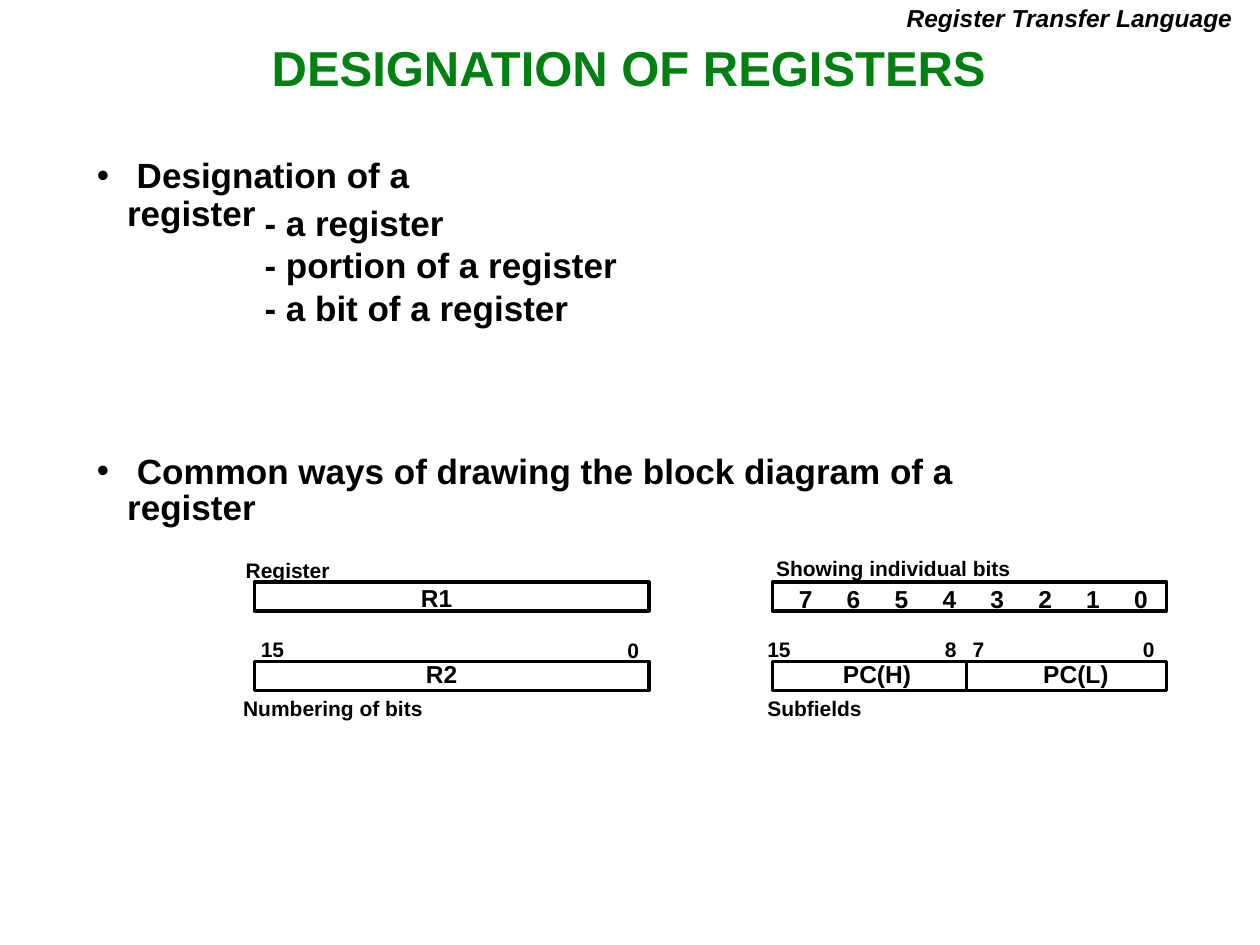
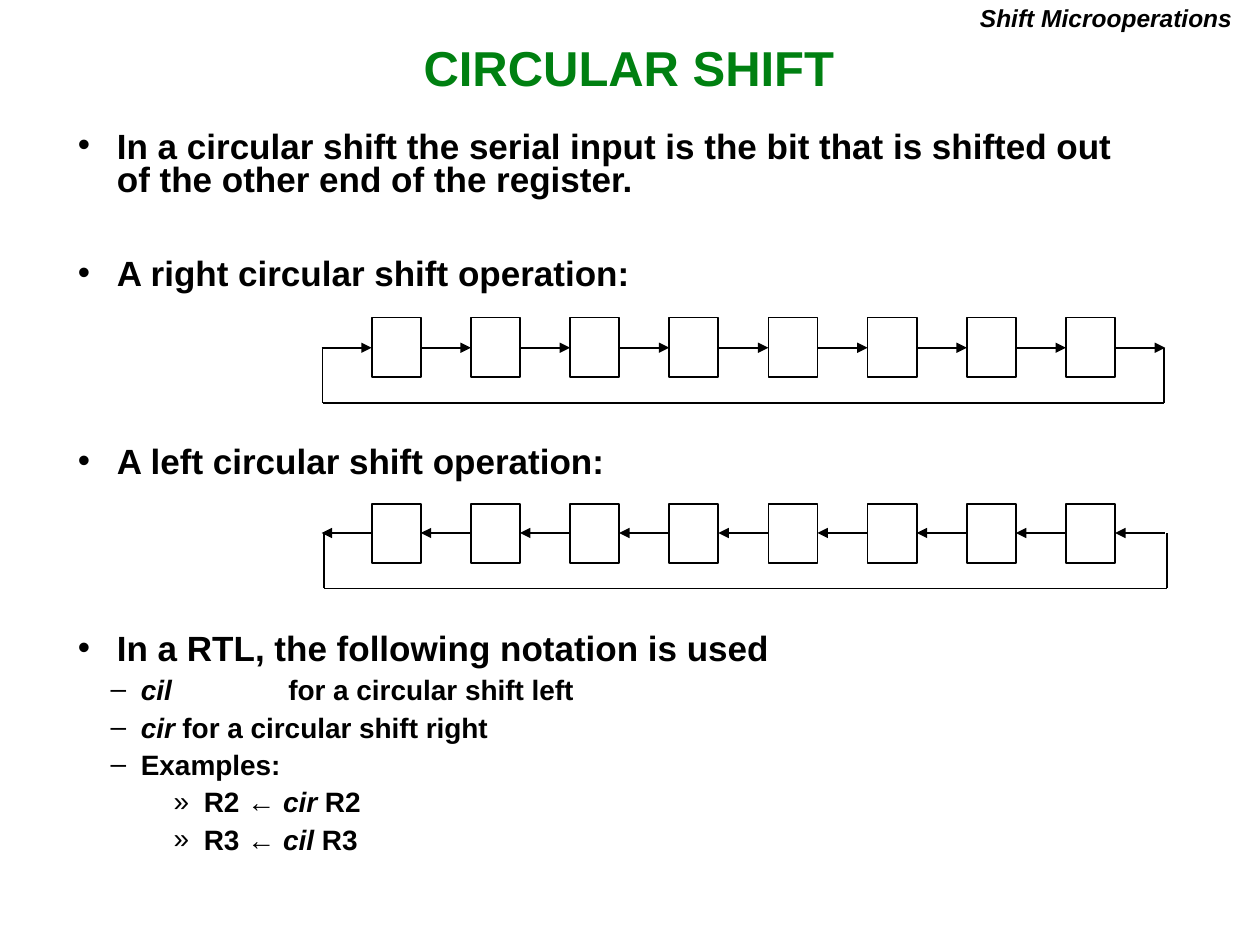
import pptx
import pptx.dml.color
import pptx.enum.shapes
import pptx.enum.text
import pptx.oxml.ns
import pptx.util
from lxml import etree

Inches = pptx.util.Inches
Pt = pptx.util.Pt
Align = pptx.enum.text.PP_ALIGN
color = pptx.dml.color.RGBColor.from_string
qn = pptx.oxml.ns.qn

BLACK = "000000"
GREEN = "008011"
SMALL_INSET = (0.07, 0.03)
WIDE_INSET = (0.1, 0.05)


def add_text(page, place, paragraphs, size, spacing, inset=SMALL_INSET,
             align=Align.LEFT, ink=BLACK, italic=False):
    """Add bold text; a paragraph is a string or a dict with spans and layout.

    Spans alternate between upright and italic when there are several.
    """
    box = page.shapes.add_textbox(*map(Inches, place))
    frame = box.text_frame
    frame_format = {
        "word_wrap": True,
        "margin_left": Inches(inset[0]), "margin_right": Inches(inset[0]),
        "margin_top": Inches(inset[1]), "margin_bottom": Inches(inset[1]),
    }
    for name, value in frame_format.items():
        setattr(frame, name, value)
    for index, entry in enumerate(paragraphs):
        if isinstance(entry, str):
            entry = {"spans": [entry]}
        para = frame.paragraphs[0] if index == 0 else frame.add_paragraph()
        para.alignment = align
        para.line_spacing = spacing
        if "before" in entry:
            para.space_before = Pt(entry["before"])
        props = para._p.get_or_add_pPr()
        if "bullet" in entry:
            margin, hanging = entry["indent"]
            props.set("marL", str(Inches(margin)))
            props.set("indent", str(-Inches(hanging)))
            bullet_color = etree.SubElement(props, qn("a:buClr"))
            etree.SubElement(bullet_color, qn("a:srgbClr"), val=BLACK)
            etree.SubElement(props, qn("a:buFont"), typeface="Arial")
            etree.SubElement(props, qn("a:buChar"), char=entry["bullet"])
        if "tabs" in entry:
            tab_list = etree.SubElement(props, qn("a:tabLst"))
            for stop in entry["tabs"]:
                etree.SubElement(tab_list, qn("a:tab"), pos=str(Inches(stop)), algn="l")
        for number, words in enumerate(entry["spans"]):
            if not words:
                continue
            span = para.add_run()
            span.text = words
            font_format = {
                "name": "Arial", "size": Pt(entry.get("size", size)),
                "bold": True, "italic": italic or number % 2 == 1,
            }
            for name, value in font_format.items():
                setattr(span.font, name, value)
            span.font.color.rgb = color(ink)


deck = pptx.Presentation()
deck.slide_width = Inches(10)
deck.slide_height = Inches(7.5)

# Title and chapter name, alike on both slides
pages = []
for title, chapter in [
    ("DESIGNATION OF REGISTERS", "Register Transfer Language"),
    ("CIRCULAR SHIFT", "Shift Microoperations"),
]:
    page = deck.slides.add_slide(deck.slide_layouts[6])
    add_text(page, (0.18, 0.32, 9.62, 0.48), [title], 28, 0.9,
             align=Align.CENTER, ink=GREEN)
    add_text(page, (6.88, 0, 3, 0.31), [chapter], 14, 0.9, WIDE_INSET,
             Align.RIGHT, italic=True)
    pages.append(page)
registers_page, shift_page = pages

# Designation of registers: bullets
bullet = {"bullet": "•", "indent": (0.24, 0.24)}
add_text(registers_page, (0.67, 1.21, 3.64, 0.7),
         [{"spans": [" Designation of a register"], **bullet}], 20, 0.9, WIDE_INSET)
add_text(registers_page, (2.03, 1.56, 3.2, 1.1),
         ["- a register", "- portion of a register", "- a bit of a register"], 20, 1.02)
add_text(registers_page, (0.7, 3.59, 7.86, 0.65),
         [{"spans": [" Common ways of drawing the block diagram of a register"], **bullet}],
         20, 0.85)

# Labels around and inside the registers
for words, left, top, width in [
    ("Register", 1.88, 4.41, 0.95),
    ("Showing individual bits", 6.09, 4.39, 2.1),
    ("Numbering of bits", 1.86, 5.5, 1.67),
    ("Subfields", 6.02, 5.5, 1),
    ("15", 2, 5.03, 0.4),
    ("0", 4.91, 5.04, 0.3),
    ("15", 6.02, 5.03, 0.4),
    ("8", 7.43, 5.03, 0.3),
    ("7", 7.65, 5.03, 0.3),
    ("0", 9, 5.03, 0.3),
]:
    add_text(registers_page, (left, top, width, 0.25), [words], 12, 0.97)
for words, left, top in [
    ("R1", 3.27, 4.62), ("R2", 3.31, 5.23), ("PC(H)", 6.62, 5.23), ("PC(L)", 8.21, 5.23),
]:
    add_text(registers_page, (left, top, 0.8, 0.27), [words], 14, 0.9)
bits = {"spans": ["\t".join("76543210")], "tabs": [0.38 * n for n in range(1, 8)]}
add_text(registers_page, (6.27, 4.63, 2.95, 0.27), [bits], 14, 0.9)

# Circular shift: body text
level_1 = {"bullet": "•", "indent": (0.31, 0.31)}
level_2 = {"bullet": "–", "indent": (0.5, 0.24), "size": 16, "before": 6}
level_3 = {"bullet": "»", "indent": (1, 0.24), "size": 16, "before": 6}
add_text(shift_page, (0.52, 1, 8.74, 6.19), [
    {"spans": ["In a circular shift the serial input is the bit that is shifted out "
               "of the other end of the register."], **level_1},
    {"spans": ["A right circular shift operation:"], "before": 34.5, **level_1},
    {"spans": ["A left circular shift operation:"], "before": 88, **level_1},
    {"spans": ["In a RTL, the following notation is used"], "before": 88, **level_1},
    {"spans": ["", "cil\t", "for a circular shift left"], "tabs": [1.67], **level_2},
    {"spans": ["", "cir\t", "for a circular shift right"], "tabs": [0.83], **level_2},
    {"spans": ["Examples:"], **level_2},
    {"spans": ["R2 ← ", "cir", " R2"], **level_3},
    {"spans": ["R3 ← ", "cil", " R3"], **level_3},
], 20, 0.8, WIDE_INSET)

# Each figure: shapes, line width, rectangles, lines (start, end, has arrowhead)
registers = [(left, top, 3.13, 0.23) for left in (2.02, 6.13) for top in (4.62, 5.25)]
figures = [(registers_page.shapes, 2, registers, [((7.67, 5.26), (7.67, 5.49), False)])]

CELLS = 8
CELL_WIDTH = 0.39
FIRST_CELL, LAST_CELL = 2.95, 8.46
pitch = (LAST_CELL - FIRST_CELL) / (CELLS - 1)
gap = pitch - CELL_WIDTH
for top, middle, bottom, left, right, shifts_right in [
    (2.52, 2.76, 3.2, 2.56, 9.24, True),
    (4, 4.23, 4.67, 2.57, 9.26, False),
]:
    cells = [(FIRST_CELL + pitch * n, top, CELL_WIDTH, 0.47) for n in range(CELLS)]
    lines = []
    for n in range(CELLS + 1):
        end = FIRST_CELL + pitch * n
        ends = [(end - gap, middle), (end, middle)]
        lines.append((*(ends if shifts_right else ends[::-1]), True))
    corners = [(left, middle), (left, bottom), (right, bottom), (right, middle)]
    lines += [(start, end, False) for start, end in zip(corners, corners[1:])]
    figures.append((shift_page.shapes.add_group_shape().shapes, 1, cells, lines))

for shapes, width, rectangles, lines in figures:
    for place in rectangles:
        shape = shapes.add_shape(pptx.enum.shapes.MSO_SHAPE.RECTANGLE, *map(Inches, place))
        shape.shadow.inherit = False
        shape.fill.background()
        shape.line.color.rgb = color(BLACK)
        shape.line.width = Pt(width)
    for start, end, has_arrowhead in lines:
        line = shapes.add_connector(pptx.enum.shapes.MSO_CONNECTOR.STRAIGHT,
                                    *map(Inches, start + end))
        line.line.color.rgb = color(BLACK)
        line.line.width = Pt(width)
        if has_arrowhead:
            etree.SubElement(line.line._get_or_add_ln(), qn("a:tailEnd"), type="triangle")
        etree.SubElement(line._element.spPr, qn("a:effectLst"))

deck.save("out.pptx")
